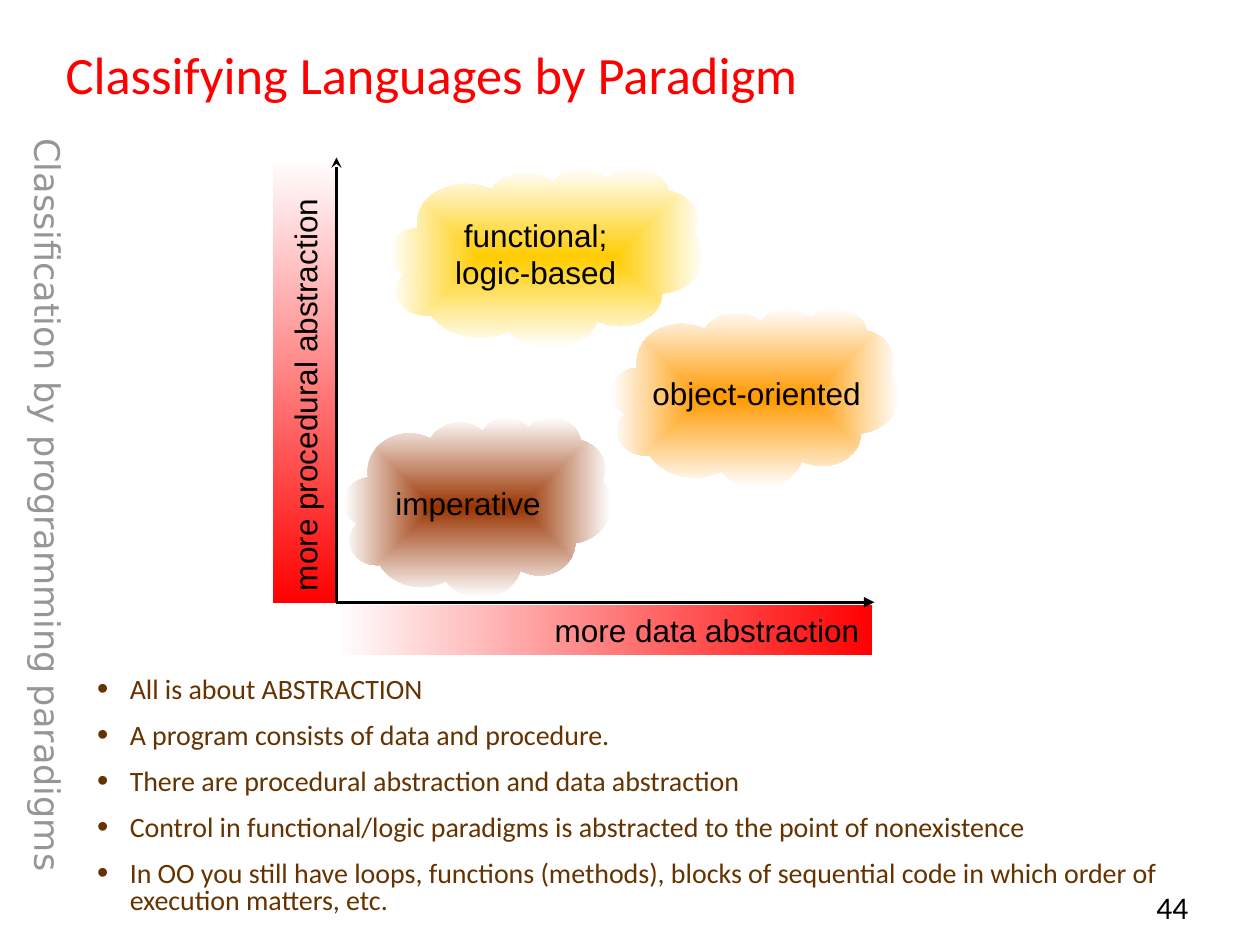
from lxml.etree import SubElement
from pptx import Presentation
from pptx.dml.color import RGBColor
from pptx.enum.shapes import MSO_CONNECTOR, MSO_SHAPE
from pptx.enum.text import MSO_ANCHOR, MSO_AUTO_SIZE, PP_ALIGN
from pptx.oxml.ns import qn
from pptx.util import Inches, Pt

BLACK = RGBColor(0x00, 0x00, 0x00)
WHITE = RGBColor(0xFF, 0xFF, 0xFF)
RED = RGBColor(0xFF, 0x00, 0x00)
GRAY = RGBColor(0x96, 0x96, 0x96)
DARK_BROWN = RGBColor(0x66, 0x33, 0x00)
BROWN = RGBColor(0x99, 0x33, 0x00)
YELLOW = RGBColor(0xFF, 0xCC, 0x00)
ORANGE = RGBColor(0xFF, 0x99, 0x00)


def write(shape, lines, font_name, size, color, **formats):
    """Fill the shape with one paragraph per line, all formatted alike."""
    frame = shape.text_frame
    frame.text = "\n".join(lines)
    for paragraph in frame.paragraphs:
        for name, value in formats.items():
            setattr(paragraph, name, value)
        font = paragraph.runs[0].font
        font.name, font.size, font.color.rgb = font_name, Pt(size), color
    return frame


def add_gradient_shape(kind, box, start, end):
    shape = slide.shapes.add_shape(kind, *map(Inches, box))
    shape.shadow.inherit = False
    shape.line.fill.background()
    shape.fill.gradient()
    for stop, color in zip(shape.fill.gradient_stops, (start, end)):
        stop.color.rgb = color
    return shape


presentation = Presentation()
presentation.slide_width, presentation.slide_height = Inches(10), Inches(7.5)
slide = presentation.slides.add_slide(presentation.slide_layouts[1])
title, body = slide.placeholders

# Title and bullet list
for placeholder, box in ((title, (0.42, 0.33, 9.08, 0.5)), (body, (0.67, 5.33, 8.83, 2.17))):
    placeholder.left, placeholder.top, placeholder.width, placeholder.height = map(Inches, box)
    placeholder.text_frame.auto_size = MSO_AUTO_SIZE.NONE

frame = write(title, ["Classifying Languages by Paradigm"], "Calibri", 30, RED,
              alignment=PP_ALIGN.LEFT)
frame.vertical_anchor = MSO_ANCHOR.MIDDLE

bullets = [
    "All is about ABSTRACTION",
    "A program consists of data and procedure.",
    "There are procedural abstraction and data abstraction",
    "Control in functional/logic paradigms is abstracted to the point of nonexistence",
    "In OO you still have loops, functions (methods), blocks of sequential code "
    "in which order of execution matters, etc.",
]
frame = write(body, bullets, "Calibri", 16, DARK_BROWN, line_spacing=0.8, space_before=Pt(11))
for paragraph in frame.paragraphs:
    properties = paragraph._p.get_or_add_pPr()
    properties.set("marL", str(Inches(0.26)))
    properties.set("indent", str(Inches(-0.26)))
    SubElement(properties, qn("a:buSzPct"), val="115000")
    SubElement(properties, qn("a:buChar"), char="•")

# Paradigm clouds: box, colour, label, left text margin
clouds = [
    ((4.85, 2.44, 2.29, 1.43), ORANGE, ["object-oriented"], 0.28),
    ((3.09, 1.33, 2.5, 1.43), YELLOW, ["functional;", "logic-based"], 0.1),
    ((2.73, 3.31, 2.12, 1.43), BROWN, ["imperative"], 0.1),
]
for box, color, label, margin in clouds:
    cloud = add_gradient_shape(MSO_SHAPE.CLOUD, box, color, WHITE)
    gradient = cloud._element.spPr.find(qn("a:gradFill"))
    gradient.remove(gradient.find(qn("a:lin")))
    center = SubElement(gradient, qn("a:path"), path="rect")
    SubElement(center, qn("a:fillToRect"), l="50000", t="50000", r="50000", b="50000")
    frame = write(cloud, label, "Arial", 18, BLACK, alignment=PP_ALIGN.CENTER)
    frame.word_wrap = False
    frame.vertical_anchor = MSO_ANCHOR.MIDDLE
    frame.margin_left = Inches(margin)

# Axis bands: box, gradient angle, label, alignment, text direction
bands = [
    ((2.17, 1.25, 0.5, 3.54), 270, "more procedural abstraction", PP_ALIGN.LEFT, "vert270"),
    ((2.66, 4.8, 4.26, 0.4), 0, "more data abstraction", PP_ALIGN.RIGHT, "horz"),
]
for box, angle, label, alignment, direction in bands:
    band = add_gradient_shape(MSO_SHAPE.RECTANGLE, box, WHITE, RED)
    band.fill.gradient_angle = angle
    frame = write(band, [label], "Arial", 18, BLACK, alignment=alignment)
    frame.vertical_anchor = MSO_ANCHOR.MIDDLE
    frame._txBody.bodyPr.set("vert", direction)

# Axes start at the common origin
origin = Inches(2.67), Inches(4.78)
for end_x, end_y, width, arrowhead in ((2.67, 1.25, 1.5, "stealth"), (6.94, 4.78, 2, "triangle")):
    axis = slide.shapes.add_connector(MSO_CONNECTOR.STRAIGHT, *origin, Inches(end_x), Inches(end_y))
    axis.line.color.rgb = BLACK
    axis.line.width = Pt(width)
    SubElement(axis.line._get_or_add_ln(), qn("a:tailEnd"), type=arrowhead)
    SubElement(axis._element.spPr, qn("a:effectLst"))

# Side heading and page number
side_heading = slide.shapes.add_textbox(Inches(-2.71), Inches(3.88), Inches(6.19), Inches(0.43))
side_heading.rotation = 90
frame = write(side_heading, ["Classification by programming paradigms"], "DejaVu Sans", 20, GRAY)
frame.word_wrap = True

page_number = slide.shapes.add_textbox(Inches(8.86), Inches(7), Inches(0.67), Inches(0.5))
frame = write(page_number, ["44"], "Calibri", 18, BLACK, alignment=PP_ALIGN.RIGHT)
frame.word_wrap = True

presentation.save("out.pptx")
